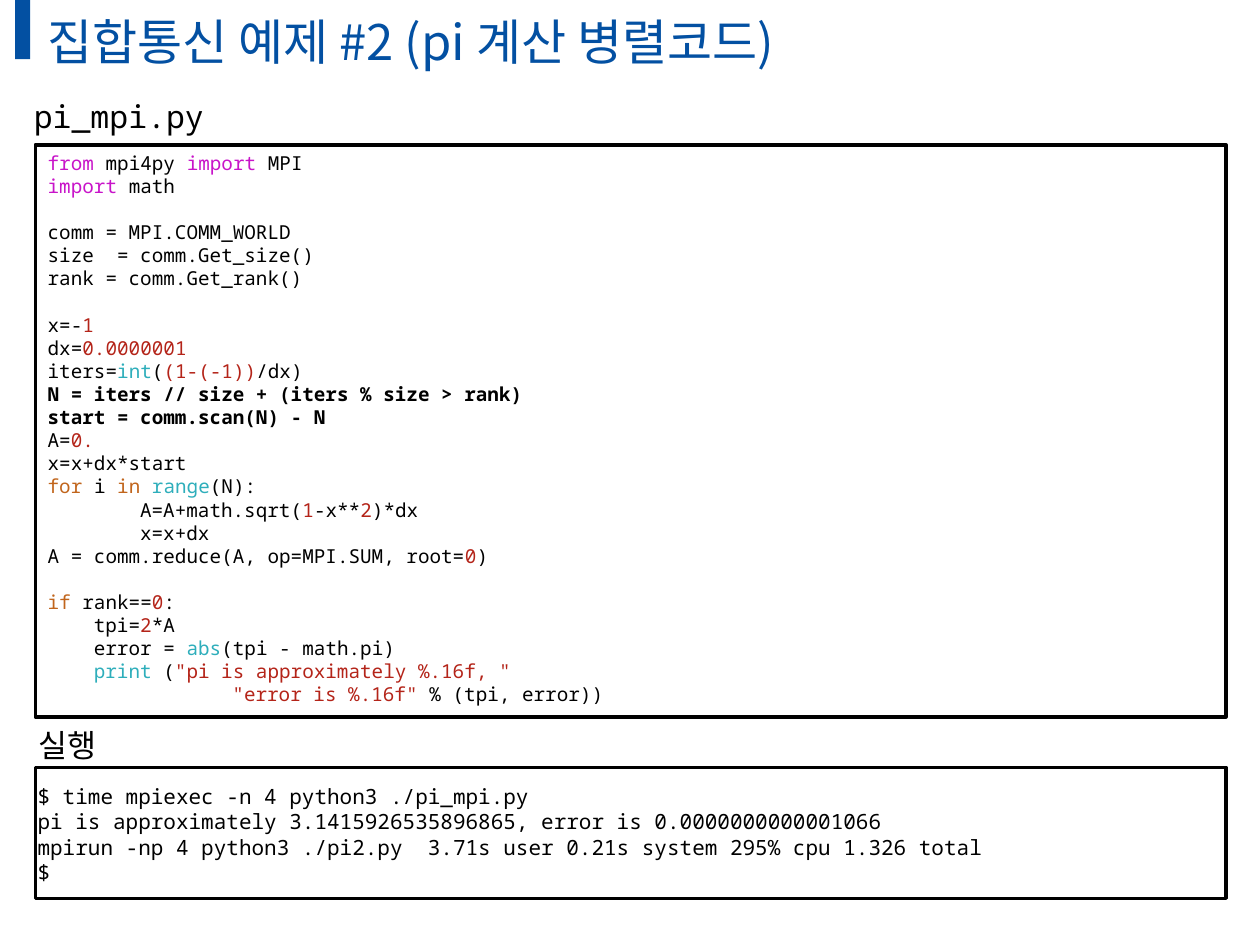
from pptx import Presentation
from pptx.dml.color import RGBColor
from pptx.enum.shapes import MSO_SHAPE
from pptx.enum.text import MSO_ANCHOR, PP_ALIGN
from pptx.oxml.ns import qn
from pptx.util import Inches, Pt
from lxml import etree

RECT = MSO_SHAPE.RECTANGLE
TOP, MIDDLE = MSO_ANCHOR.TOP, MSO_ANCHOR.MIDDLE
LEFT = PP_ALIGN.LEFT

BLUE = RGBColor(0x03, 0x50, 0xA2)
BLACK = RGBColor(0x00, 0x00, 0x00)
WHITE = RGBColor(0xFF, 0xFF, 0xFF)
PINK = RGBColor(0xC8, 0x14, 0xC9)
RED = RGBColor(0xB4, 0x24, 0x19)
TEAL = RGBColor(0x2E, 0xAE, 0xBB)
ORANGE = RGBColor(0xC1, 0x65, 0x1C)

SANS = "Noto Sans CJK KR"
MONO = "Noto Sans Mono"
CODE_SIZE = 11
CODE_LINE = Pt(13.2)
CODE_CHAR = Pt(6.6)


def add_rect(x, y, w, h, fill, line=None):
    sp = s.shapes.add_shape(RECT, Inches(x), Inches(y), Inches(w), Inches(h))
    sp.shadow.inherit = False
    sp.fill.solid()
    sp.fill.fore_color.rgb = fill
    if line is None:
        sp.line.fill.background()
    else:
        sp.line.color.rgb = line
        sp.line.width = Pt(2)
    return sp


def style(p, size, font=MONO, color=BLACK):
    p.alignment = LEFT
    p.font.size = Pt(size)
    p.font.color.rgb = color
    p.font.name = font
    # Korean letters take the East Asian font
    latin = p.font._element.find(qn("a:latin"))
    ea = etree.Element(qn("a:ea"), typeface=font)
    latin.addnext(ea)


prs = Presentation()
prs.slide_width, prs.slide_height = Inches(10), Inches(7.5)
s = prs.slides.add_slide(prs.slide_layouts[6])

# Title bar and frames
add_rect(0.12, 0, 0.12, 0.47, BLUE)
code_box = add_rect(0.28, 1.15, 9.45, 4.54, WHITE, BLACK)
add_rect(0.28, 6.09, 9.45, 1.04, WHITE, BLACK)

# Title, labels and terminal output
output = [
    "$ time mpiexec -n 4 python3 ./pi_mpi.py",
    "pi is approximately 3.1415926535896865, error is 0.0000000000001066",
    "mpirun -np 4 python3 ./pi2.py  3.71s user 0.21s system 295% cpu 1.326 total",
    "$",
]
texts = [
    (0.28, 0.05, 9, 0.55, ["집합통신 예제 #2 (pi 계산 병렬코드)"], 28, SANS, BLUE, MIDDLE, True),
    (0.17, 0.72, 1.57, 0.4, ["pi_mpi.py"], 18, MONO, BLACK, TOP, False),
    (0.21, 5.71, 0.71, 0.4, ["실행"], 18, MONO, BLACK, TOP, False),
    (0.2, 6.17, 8.27, 0.91, output, 12, MONO, BLACK, TOP, True),
]
for x, y, w, h, lines, size, font, color, anchor, wrap in texts:
    tf = s.shapes.add_textbox(Inches(x), Inches(y), Inches(w), Inches(h)).text_frame
    tf.word_wrap = wrap
    tf.vertical_anchor = anchor
    tf.text = "\n".join(lines)
    for p in tf.paragraphs:
        style(p, size, font, color)

# Code blocks: each line is its indent in characters, then its pieces;
# a plain string is black, a pair carries its colour
blocks = [
    [
        (0, ("from", PINK), " mpi4py ", ("import", PINK), " MPI"),
        (0, ("import", PINK), " math"),
    ],
    [
        (0, "comm = MPI.COMM_WORLD"),
        (0, "size  = comm.Get_size()"),
        (0, "rank = comm.Get_rank()"),
    ],
    [
        (0, "x=-", ("1", RED)),
        (0, "dx=", ("0.0000001", RED)),
        (0, "iters=", ("int", TEAL), "(", ("(1-(-1))", RED), "/dx)"),
        (0, "N = iters // size + (iters % size > rank)"),
        (0, "start = comm.scan(N) - N"),
        (0, "A=", ("0.", RED)),
        (0, "x=x+dx*start"),
        (0, ("for ", ORANGE), "i ", ("in ", ORANGE), ("range", TEAL), "(N):"),
        (8, "A=A+math.sqrt(", ("1", RED), "-x**", ("2", RED), ")*dx"),
        (8, "x=x+dx"),
        (0, "A = comm.reduce(A, op=MPI.SUM, root=", ("0", RED), ")"),
    ],
    [
        (0, ("if", ORANGE), " rank==", ("0", RED), ":"),
        (4, "tpi=", ("2", RED), "*A"),
        (4, "error = ", ("abs", TEAL), "(tpi - math.pi)"),
        (4, ("print", TEAL), " (", ('"pi is approximately %.16f, "', RED)),
        (16, ('"error is %.16f"', RED), " % (tpi, error))"),
    ],
]
tf = code_box.text_frame
tf.word_wrap = True
tf.vertical_anchor = TOP
p = tf.paragraphs[0]
for b, block in enumerate(blocks):
    for n, (indent, *pieces) in enumerate(block):
        if b or n:
            p = tf.add_paragraph()
        style(p, CODE_SIZE)
        p.font.bold = pieces[0].startswith(("N =", "start =")) if isinstance(pieces[0], str) else False
        if b and n == 0:
            p.space_before = CODE_LINE
        if indent:
            p._p.get_or_add_pPr().set("marL", str(indent * CODE_CHAR))
        for piece in pieces:
            text, color = (piece, BLACK) if isinstance(piece, str) else piece
            r = p.add_run()
            r.text = text
            r.font.color.rgb = color

prs.save("out.pptx")
